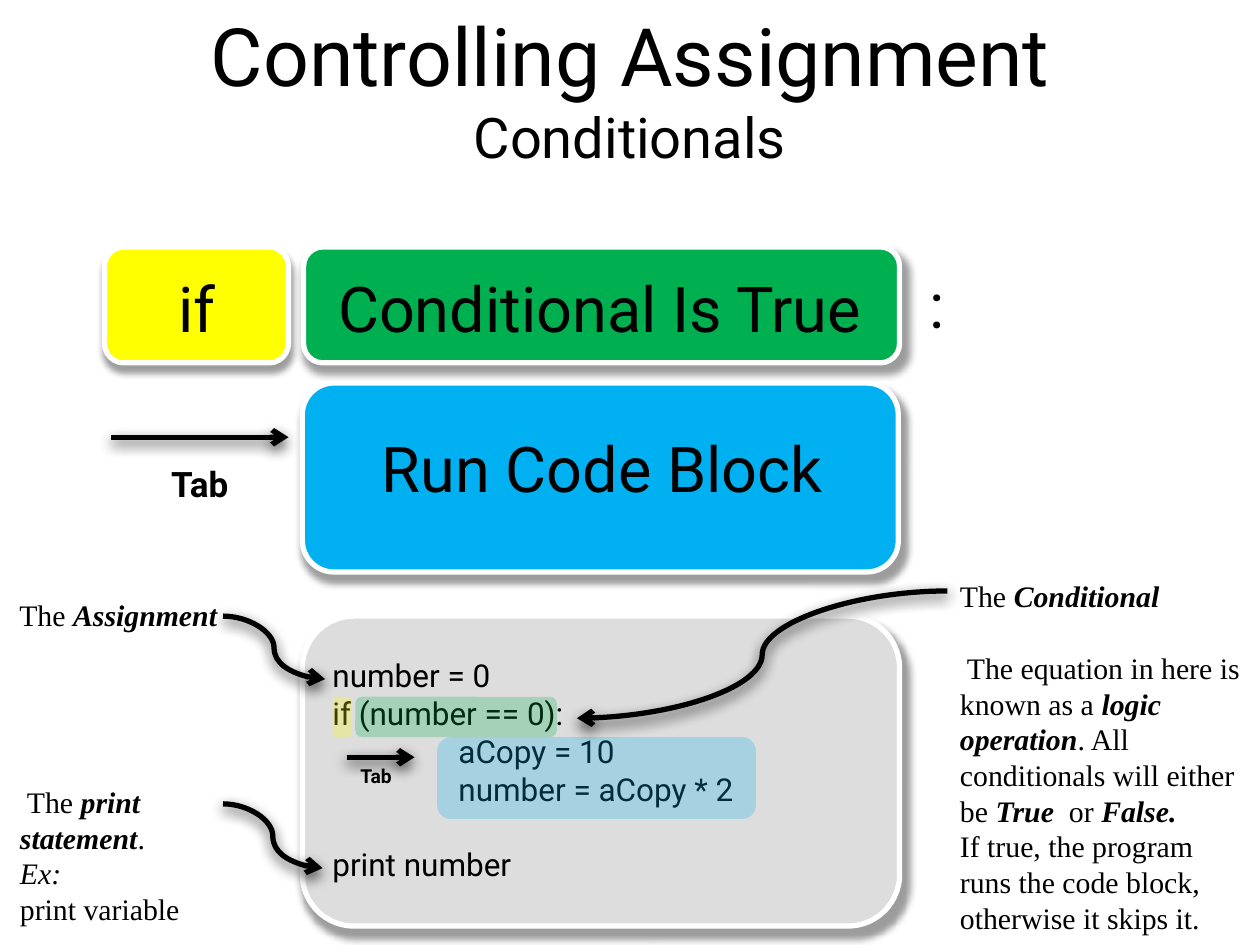
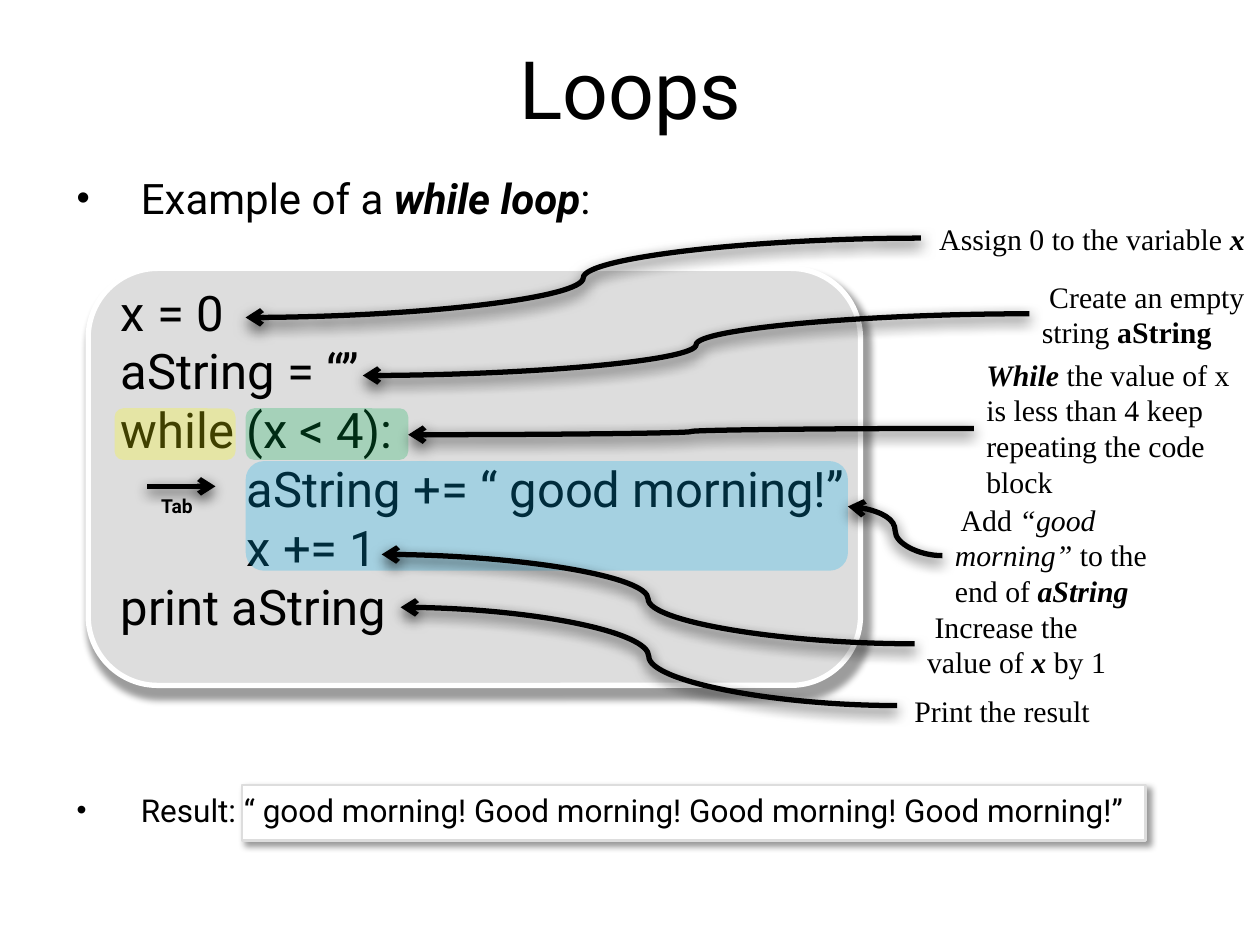
from lxml.etree import SubElement
from pptx import Presentation
from pptx.dml.color import RGBColor
from pptx.enum.shapes import MSO_CONNECTOR as Connector, MSO_SHAPE as Shape
from pptx.enum.text import MSO_ANCHOR as Anchor, PP_ALIGN as Align
from pptx.oxml.ns import qn
from pptx.util import Inches, Pt

WIDTH, HEIGHT = 10, 7.5
BLACK, WHITE, GRAY = "000000", "FFFFFF", "DDDDDD"
YELLOW, GREEN, BLUE = "FFFF00", "00B050", "00B0F0"
SANS, SERIF = "Roboto", "Times New Roman"
TAB_INDENT = 1

# opacity %, blur pt, distance pt, direction in degrees, scale %
BLOCK_SHADOW = (38, 4, 4, 82, 101)
ARROW_SHADOW = (75, 8, 3, 90, 100)
RESULT_SHADOW = (40, 4, 3, 45, 100)

# A paragraph is a list of (text, style) runs; style letters: b bold, i italic.
# Boxes are (left, top, width, height) in inches.
CONDITIONALS = {
    "title": ((1, 0.22, 8, 0.95), [("Controlling Assignment", 46), ("Conditionals", 32)]),
    "blocks": [
        ((0.83, 1.96, 1.46, 0.92), YELLOW),
        ((2.41, 1.96, 4.73, 0.92), GREEN),
        ((2.4, 3.04, 4.73, 1.5), BLUE),
        ((2.4, 4.89, 4.74, 2.46), GRAY),
    ],
    "labels": [
        ((0.88, 2.09, 1.37, 0.71), "if", 36, ""),
        ((2.54, 2.09, 4.44, 0.71), "Conditional Is True", 36, ""),
        ((7.14, 2.06, 0.59, 0.71), ":", 36, ""),
        ((2.56, 3.36, 4.44, 0.71), "Run Code Block", 36, ""),
        ((0.88, 3.62, 1.41, 0.44), "Tab", 20, "b"),
    ],
    # code lines: (text, indent level, space before in points)
    "code": ((2.54, 5.16, 4.44, 1.92), 18, [
        ("number = 0", 0, 0),
        ("if (number == 0):", 0, 0),
        ("aCopy = 10", 1, 0),
        ("number = aCopy * 2", 1, 0),
        ("print number", 0, 21.6),
    ]),
    "tints": [
        ((3.47, 5.85, 2.53, 0.65), BLUE),
        ((2.64, 5.53, 0.15, 0.32), YELLOW),
        ((2.82, 5.53, 1.6, 0.32), GREEN),
    ],
    "tab": (2.75, 6.01),
    "straight": [((0.88, 3.47), (2.29, 3.47))],
    "curves": [
        ((1.77, 6.38), (2.56, 6.89)),
        ((1.77, 4.89), (2.58, 5.39)),
        ((7.52, 4.69), (4.58, 5.7)),
    ],
    "remarks": [
        ((0, 4.69, 2.48, 0.39), [[(" The ", ""), ("Assignment", "bi")]]),
        ((7.52, 4.54, 2.48, 2.96), [
            [("The ", ""), ("Conditional", "bi")],
            [(" The equation in here is known as a ", ""), ("logic operation", "bi"),
             (". All conditionals will either be ", ""), ("True ", "bi"),
             (" or ", ""), ("False.", "bi")],
            [("If true, the program runs the code block, otherwise it skips it.", "")],
        ]),
        ((0.06, 6.17, 1.71, 1.25), [
            [(" The ", ""), ("print statement", "bi"), (".", "")],
            [("Ex:", "i")],
            [("print variable", "")],
        ]),
    ],
    "gap_before": " The equation",
}

LOOPS = {
    "title": ((0, 0.22, WIDTH, 0.95), [("Loops", 46)]),
    "result_box": (1.92, 6.23, 7.17, 0.44),
    "bullets": [
        (1.32, 24, [("Example of a ", ""), ("while loop", "bi"), (":", "")]),
        (6.23, 18, [("Result: “ good morning! Good morning! Good morning! Good morning!”", "")]),
    ],
    "blocks": [((0.7, 2.13, 6.13, 3.31), GRAY)],
    "code": ((0.86, 2.19, 6.26, 3.23), 28, [
        ("x = 0", 0, 0),
        ("aString = “”", 0, 0),
        ("while (x < 4):", 0, 0),
        ("aString += “ good morning!”", 1, 0),
        ("x += 1", 1, 0),
        ("print aString", 0, 0),
    ]),
    "tints": [
        ((1.95, 3.66, 4.78, 0.87), BLUE),
        ((0.91, 3.24, 0.96, 0.41), YELLOW),
        ((1.95, 3.24, 1.29, 0.41), GREEN),
    ],
    "tab": (1.17, 3.86),
    "curves": [
        ((7.31, 1.89), (1.95, 2.52)),
        ((8.17, 2.49), (2.88, 2.98)),
        ((7.73, 3.4), (3.24, 3.45)),
        ((7.48, 4.41), (6.73, 4.02)),
        ((7.26, 5.11), (3.03, 4.4)),
        ((7.12, 5.6), (3.18, 4.82)),
    ],
    "remarks": [
        ((7.31, 1.7, 2.72, 0.39), [[(" Assign 0 to the variable ", ""), ("x", "bi")]]),
        ((8.17, 2.16, 1.83, 0.67), [[(" Create an empty string ", ""), ("aString", "b")]]),
        ((7.73, 2.78, 2.27, 1.25), [[
            ("While", "bi"),
            (" the value of x is less than 4 keep repeating the code block", "")]]),
        ((7.48, 3.93, 1.83, 0.96), [[
            (" Add ", ""), ("“good morning” ", "i"), ("to the end of ", ""), ("aString", "bi")]]),
        ((7.26, 4.78, 1.83, 0.67), [[
            (" Increase the value of ", ""), ("x ", "bi"), ("by 1", "")]]),
        ((7.1, 5.45, 1.83, 0.39), [[(" Print the result", "")]]),
    ],
}


def color(hex_code):
    return RGBColor.from_string(hex_code)


def inches(values):
    return [Inches(value) for value in values]


def set_shadow(element, shadow=None):
    """Replace the theme's effects by the given outer shadow, or by none."""
    properties = element.spPr
    for old in properties.findall(qn("a:effectLst")):
        properties.remove(old)
    effects = SubElement(properties, qn("a:effectLst"))
    if shadow:
        opacity, blur, distance, direction, scale = shadow
        values = {"blurRad": Pt(blur), "dist": Pt(distance), "dir": direction * 60000,
                  "sx": scale * 1000, "sy": scale * 1000, "algn": "tl", "rotWithShape": 0}
        outer = SubElement(effects, qn("a:outerShdw"),
                           {name: str(value) for name, value in values.items()})
        tone = SubElement(outer, qn("a:srgbClr"), val=BLACK)
        SubElement(tone, qn("a:alpha"), val=str(opacity * 1000))


def add_block(slide, box, fill, line=None, shadow=None, kind=Shape.ROUNDED_RECTANGLE, opacity=100):
    shape = slide.shapes.add_shape(kind, *inches(box))
    shape.fill.solid()
    shape.fill.fore_color.rgb = color(fill)
    if opacity < 100:
        tone = shape._element.spPr.find(".//" + qn("a:srgbClr"))
        SubElement(tone, qn("a:alpha"), val=str(opacity * 1000))
    if line:
        line_color, line_width = line
        shape.line.color.rgb = color(line_color)
        shape.line.width = Pt(line_width)
    else:
        shape.line.fill.background()
    set_shadow(shape._element, shadow)


def add_arrow(slide, start, end, kind=Connector.STRAIGHT):
    arrow = slide.shapes.add_connector(kind, *inches(start + end))
    arrow.line.color.rgb = color(BLACK)
    arrow.line.width = Pt(3)
    SubElement(arrow.line._get_or_add_ln(), qn("a:tailEnd"), type="arrow")
    set_shadow(arrow._element, ARROW_SHADOW)


def add_run(paragraph, text, size, font=SANS, style=""):
    run = paragraph.add_run()
    run.text = text
    values = {"name": font, "size": Pt(size), "bold": "b" in style, "italic": "i" in style}
    for name, value in values.items():
        setattr(run.font, name, value)
    run.font.color.rgb = color(BLACK)


def add_text(slide, box, paragraphs, size, font=SANS, align=Align.LEFT):
    """Add a text box and return its paragraphs for further formatting."""
    frame = slide.shapes.add_textbox(*inches(box)).text_frame
    frame.word_wrap = True
    for index, runs in enumerate(paragraphs):
        paragraph = frame.add_paragraph() if index else frame.paragraphs[0]
        paragraph.alignment = align
        for text, style in runs:
            add_run(paragraph, text, size, font, style)
    return frame.paragraphs


def add_title(slide, box, lines):
    frame = slide.shapes.add_textbox(*inches(box)).text_frame
    frame.word_wrap = True
    frame.vertical_anchor = Anchor.MIDDLE
    paragraph = frame.paragraphs[0]
    paragraph.alignment = Align.CENTER
    for index, (text, size) in enumerate(lines):
        if index:
            paragraph.add_line_break()
        add_run(paragraph, text, size)


def add_bullet(slide, top, size, runs):
    paragraph = add_text(slide, (0.51, top, 8.9, 0.57), [runs], size)[0]
    properties = paragraph._p.get_or_add_pPr()
    properties.set("marL", str(Inches(0.51)))
    properties.set("indent", str(-Inches(0.51)))
    SubElement(properties, qn("a:buSzPct"), val="90000")
    SubElement(properties, qn("a:buFont"), typeface="Arial")
    SubElement(properties, qn("a:buChar"), char="•")


def add_code(slide, box, size, lines):
    paragraphs = add_text(slide, box, [[(text, "")] for text, _, _ in lines], size)
    for paragraph, (_, level, space) in zip(paragraphs, lines):
        paragraph.space_before = Pt(space)
        paragraph._p.get_or_add_pPr().set("marL", str(Inches(level * TAB_INDENT)))


def add_tab_mark(slide, left, top):
    add_arrow(slide, (left, top), (left + 0.54, top))
    add_text(slide, (left - 0.24, top + 0.01, 0.95, 0.29), [[("Tab", "b")]], 11, align=Align.CENTER)


def build_slide(presentation, content):
    slide = presentation.slides.add_slide(presentation.slide_layouts[6])
    if "result_box" in content:
        add_block(slide, content["result_box"], WHITE, (GRAY, 1.5), RESULT_SHADOW, Shape.RECTANGLE)
    add_title(slide, *content["title"])
    for bullet in content.get("bullets", []):
        add_bullet(slide, *bullet)
    for box, fill in content["blocks"]:
        add_block(slide, box, fill, (WHITE, 3), BLOCK_SHADOW)
    for box, text, size, style in content.get("labels", []):
        add_text(slide, box, [[(text, style)]], size, align=Align.CENTER)
    add_code(slide, *content["code"])
    for box, fill in content["tints"]:
        add_block(slide, box, fill, opacity=25)
    add_tab_mark(slide, *content["tab"])
    for start, end in content.get("straight", []):
        add_arrow(slide, start, end)
    for start, end in content["curves"]:
        add_arrow(slide, start, end, Connector.CURVE)
    for box, paragraphs in content["remarks"]:
        for paragraph in add_text(slide, box, paragraphs, 17, SERIF):
            if "gap_before" in content and paragraph.text.startswith(content["gap_before"]):
                paragraph.space_before = Pt(20.4)


def main():
    presentation = Presentation()
    presentation.slide_width, presentation.slide_height = inches((WIDTH, HEIGHT))
    for content in (CONDITIONALS, LOOPS):
        build_slide(presentation, content)
    presentation.save("out.pptx")


if __name__ == "__main__":
    main()
